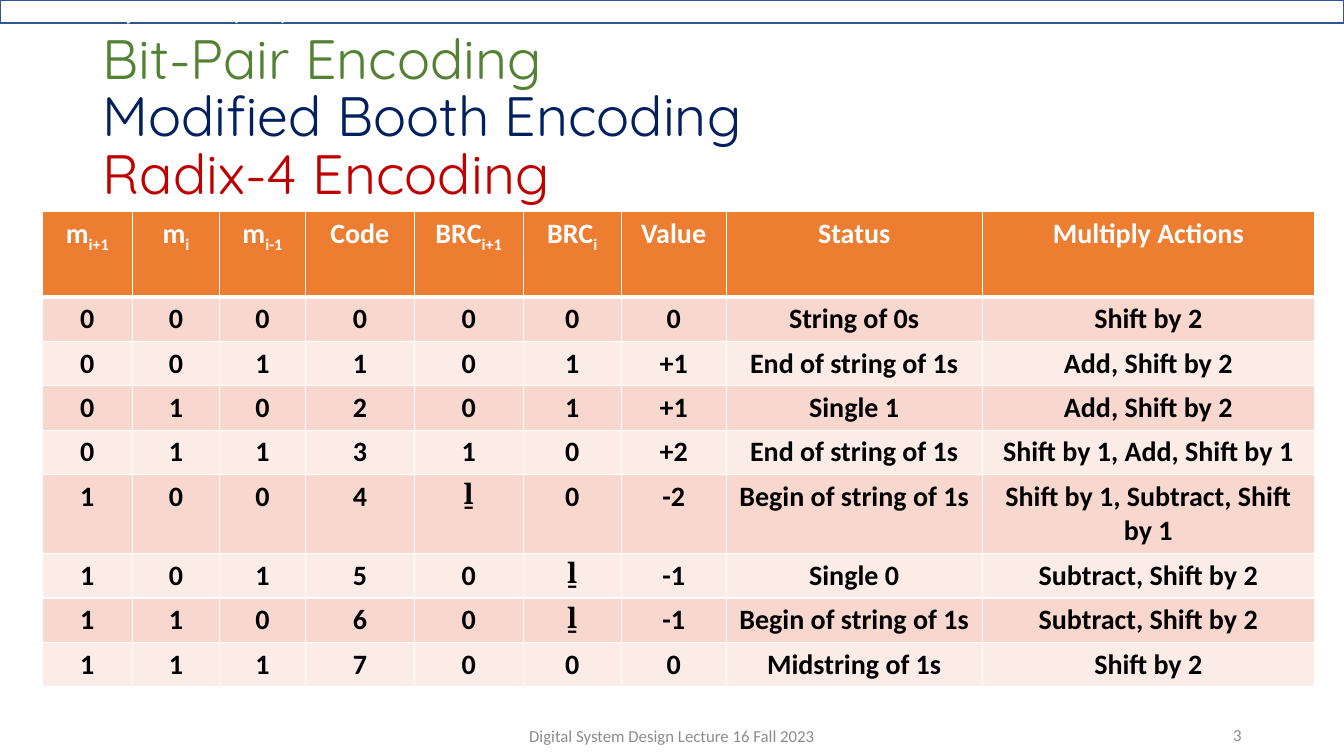
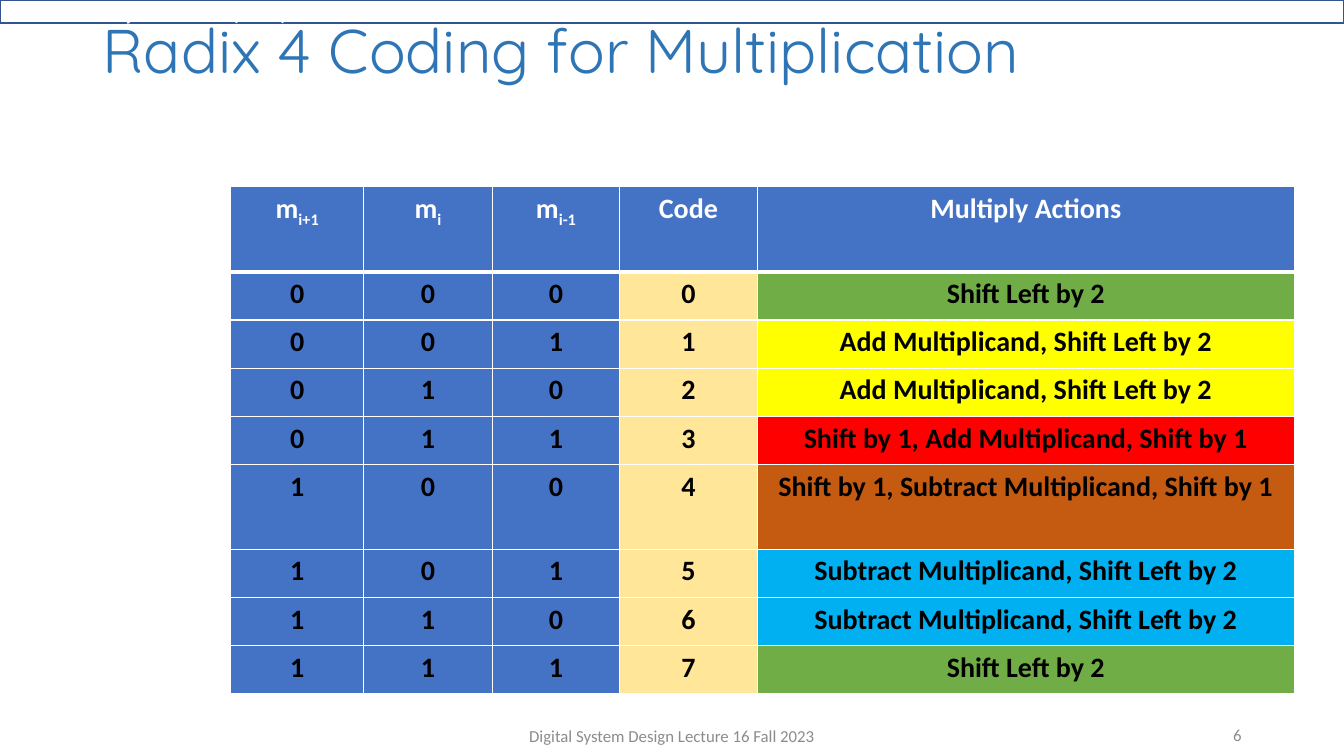
from dataclasses import dataclass
from typing import Callable

from lxml.etree import SubElement
from pptx import Presentation
from pptx.dml.color import RGBColor
from pptx.enum.shapes import MSO_SHAPE
from pptx.enum.text import MSO_ANCHOR, MSO_AUTO_SIZE, PP_ALIGN
from pptx.oxml import parse_xml
from pptx.oxml.ns import nsdecls, qn
from pptx.util import Pt

WIDTH, HEIGHT = 960, 540
BODY_FONT, TITLE_FONT, MATH_FONT = "Calibri", "Quicksand", "Cambria"
WHITE, BLACK, GREY, NAVY = "FFFFFF", "000000", "8C8C8C", "002060"
BAND_LINE = "325491"
ORANGE, PEACH, PALE_PEACH = "ED7D31", "F8D7CE", "FCECE8"
BLUE, CREAM = "4472C4", "FFE699"
GREEN, YELLOW, RED, BROWN, SKY = "70AD47", "FFFF00", "FF0000", "C55A11", "00B0F0"
LAB = "Embedded Systems Lab (EESL)"
FOOTER = "Digital System Design Lecture 16 Fall 2023"
BAR_ONE = "ḻ"
BAND_GRADIENT = f"""<a:gradFill {nsdecls("a")} rotWithShape="1"><a:gsLst>
<a:gs pos="2000"><a:srgbClr val="ABC0E4"/></a:gs>
<a:gs pos="38000"><a:srgbClr val="{NAVY}"/></a:gs>
<a:gs pos="93000"><a:srgbClr val="7E9ED6"><a:alpha val="64000"/></a:srgbClr></a:gs>
</a:gsLst><a:lin ang="5400000" scaled="0"/></a:gradFill>"""


@dataclass
class Box:
    left: float
    top: float
    width: float
    height: float

    def points(self) -> tuple:
        return Pt(self.left), Pt(self.top), Pt(self.width), Pt(self.height)


@dataclass
class TitleLine:
    text: str
    color: str


@dataclass
class CodeTable:
    left: float
    top: float
    columns: list[float]
    row_heights: list[float]
    header: list[str]
    rows: list[list[str]]
    header_fill: str
    body_fill: Callable[[int, int], str]


def rgb(color: str) -> RGBColor:
    return RGBColor.from_string(color)


def style(r, size: float, color: str, name: str = BODY_FONT, bold: bool = False) -> None:
    r.font.size, r.font.name, r.font.bold = Pt(size), name, bold
    r.font.color.rgb = rgb(color)


def add_band(slide) -> None:
    sp = slide.shapes.add_shape(MSO_SHAPE.RECTANGLE, *Box(0, 0, WIDTH, 16.6).points())
    sp.shadow.inherit = False
    sp.line.color.rgb = rgb(BAND_LINE)
    sp.line.width = Pt(1)
    sp.element.spPr.find(qn("a:prstGeom")).addnext(parse_xml(BAND_GRADIENT))
    tf = sp.text_frame
    tf.text = LAB
    tf.vertical_anchor = MSO_ANCHOR.MIDDLE
    tf.paragraphs[0].alignment = PP_ALIGN.LEFT
    style(tf.paragraphs[0].runs[0], 16, WHITE, bold=True)


def add_small_text(slide, box: Box, text: str, alignment: PP_ALIGN) -> None:
    tf = slide.shapes.add_textbox(*box.points()).text_frame
    tf.word_wrap = True
    tf.vertical_anchor = MSO_ANCHOR.MIDDLE
    tf.text = text
    tf.paragraphs[0].alignment = alignment
    style(tf.paragraphs[0].runs[0], 12, GREY)


def set_title(slide, box: Box, lines: list[TitleLine], size: float, spacing: float) -> None:
    sp = slide.shapes.title
    sp.left, sp.top, sp.width, sp.height = box.points()
    tf = sp.text_frame
    tf.text = "\n".join(line.text for line in lines)
    tf.auto_size = MSO_AUTO_SIZE.NONE
    tf.vertical_anchor = MSO_ANCHOR.MIDDLE
    for p, line in zip(tf.paragraphs, lines):
        p.alignment = PP_ALIGN.LEFT
        p.line_spacing = spacing
        style(p.runs[0], size, line.color, TITLE_FONT)


def add_slide(prs, number: int):
    slide = prs.slides.add_slide(prs.slide_layouts[5])
    add_band(slide)
    add_small_text(slide, Box(318, 511, 324, 29), FOOTER, PP_ALIGN.CENTER)
    add_small_text(slide, Box(678, 510.5, 216, 29), str(number), PP_ALIGN.RIGHT)
    return slide


def set_borders(cell, top: float, bottom: float) -> None:
    tc_pr = cell._tc.get_or_add_tcPr()
    for side, width in (("L", 1), ("R", 1), ("T", top), ("B", bottom)):
        ln = SubElement(tc_pr, qn(f"a:ln{side}"), w=str(Pt(width)))
        SubElement(SubElement(ln, qn("a:solidFill")), qn("a:srgbClr"), val=WHITE)


def fill_cell(cell, text: str, color: str, fill: str) -> None:
    """Write the text centred; whatever follows an underscore is a subscript."""
    cell.fill.solid()
    cell.fill.fore_color.rgb = rgb(fill)
    p = cell.text_frame.paragraphs[0]
    p.alignment = PP_ALIGN.CENTER
    for i, part in enumerate(text.split("_")):
        r = p.add_run()
        r.text = part
        style(r, 20, color, MATH_FONT if part == BAR_ONE else BODY_FONT, True)
        if i:
            r.font._element.set("baseline", "-25000")


def add_code_table(slide, spec: CodeTable) -> None:
    box = Box(spec.left, spec.top, sum(spec.columns), sum(spec.row_heights))
    rows = [spec.header, *spec.rows]
    table = slide.shapes.add_table(len(rows), len(spec.columns), *box.points()).table
    table.horz_banding = False
    for column, width in zip(table.columns, spec.columns):
        column.width = Pt(width)
    for i, (texts, height) in enumerate(zip(rows, spec.row_heights)):
        table.rows[i].height = Pt(height)
        for j, text in enumerate(texts):
            cell = table.cell(i, j)
            set_borders(cell, 3 if i == 1 else 1, 3 if i == 0 else 1)
            if i == 0:
                fill_cell(cell, text, WHITE, spec.header_fill)
            else:
                fill_cell(cell, text, BLACK, spec.body_fill(i - 1, j))


def code_rows(details: list[tuple[str, ...]]) -> list[list[str]]:
    """Put the three bits and the code itself before each row's details."""
    return [[*f"{code:03b}", str(code), *detail] for code, detail in enumerate(details)]


def row_heights(header: float, row: float, tall: float) -> list[float]:
    """The row of code 4 is the tall one."""
    return [header, *[row] * 4, tall, *[row] * 3]


CODE_HEADER = ["m_i+1", "m_i", "m_i-1", "Code"]
ENCODING = [
    ("0", "0", "0", "String of 0s", "Shift by 2"),
    ("0", "1", "+1", "End of string of 1s", "Add, Shift by 2"),
    ("0", "1", "+1", "Single 1", "Add, Shift by 2"),
    ("1", "0", "+2", "End of string of 1s", "Shift by 1, Add, Shift by 1"),
    (BAR_ONE, "0", "-2", "Begin of string of 1s", "Shift by 1, Subtract, Shift by 1"),
    ("0", BAR_ONE, "-1", "Single 0", "Subtract, Shift by 2"),
    ("0", BAR_ONE, "-1", "Begin of string of 1s", "Subtract, Shift by 2"),
    ("0", "0", "0", "Midstring of 1s", "Shift by 2"),
]
SHIFT = ("Shift Left by 2", GREEN)
ADD = ("Add Multiplicand, Shift Left by 2", YELLOW)
SHIFT_ADD = ("Shift by 1, Add Multiplicand, Shift by 1", RED)
SHIFT_SUBTRACT = ("Shift by 1, Subtract Multiplicand, Shift by 1", BROWN)
SUBTRACT = ("Subtract Multiplicand, Shift Left by 2", SKY)
ACTIONS = [SHIFT, ADD, ADD, SHIFT_ADD, SHIFT_SUBTRACT, SUBTRACT, SUBTRACT, SHIFT]


def banded_fill(row: int, column: int) -> str:
    return PALE_PEACH if row % 2 else PEACH


def action_fill(row: int, column: int) -> str:
    return [BLUE, BLUE, BLUE, CREAM, ACTIONS[row][1]][column]


def build_encoding_slide(prs) -> None:
    slide = add_slide(prs, 3)
    lines = [
        TitleLine("Bit-Pair Encoding", "548235"),
        TitleLine("Modified Booth Encoding", NAVY),
        TitleLine("Radix-4 Encoding", "C00000"),
    ]
    set_title(slide, Box(66, 20, 828, 131), lines, 39.6, 0.86)
    add_code_table(slide, CodeTable(
        left=30.3, top=151,
        columns=[64.2, 62.4, 61.3, 77.8, 77.8, 70, 75, 182.9, 237.4],
        row_heights=row_heights(61.2, 31.7, 56.5),
        header=[*CODE_HEADER, "BRC_i+1", "BRC_i", "Value", "Status", "Multiply Actions"],
        rows=code_rows(ENCODING),
        header_fill=ORANGE, body_fill=banded_fill,
    ))


def build_actions_slide(prs) -> None:
    slide = add_slide(prs, 6)
    title = TitleLine("Radix 4 Coding for Multiplication", "2E75B6")
    set_title(slide, Box(66, 10.8, 828, 55.4), [title], 44, 0.9)
    add_code_table(slide, CodeTable(
        left=164.9, top=133.2,
        columns=[94.8, 92.2, 90.6, 98.6, 383.4],
        row_heights=row_heights(61, 34.4, 60.6),
        header=[*CODE_HEADER, "Multiply Actions"],
        rows=code_rows([(text,) for text, _ in ACTIONS]),
        header_fill=BLUE, body_fill=action_fill,
    ))


def main() -> None:
    prs = Presentation()
    prs.slide_width, prs.slide_height = Pt(WIDTH), Pt(HEIGHT)
    build_encoding_slide(prs)
    build_actions_slide(prs)
    prs.save("out.pptx")


if __name__ == "__main__":
    main()
